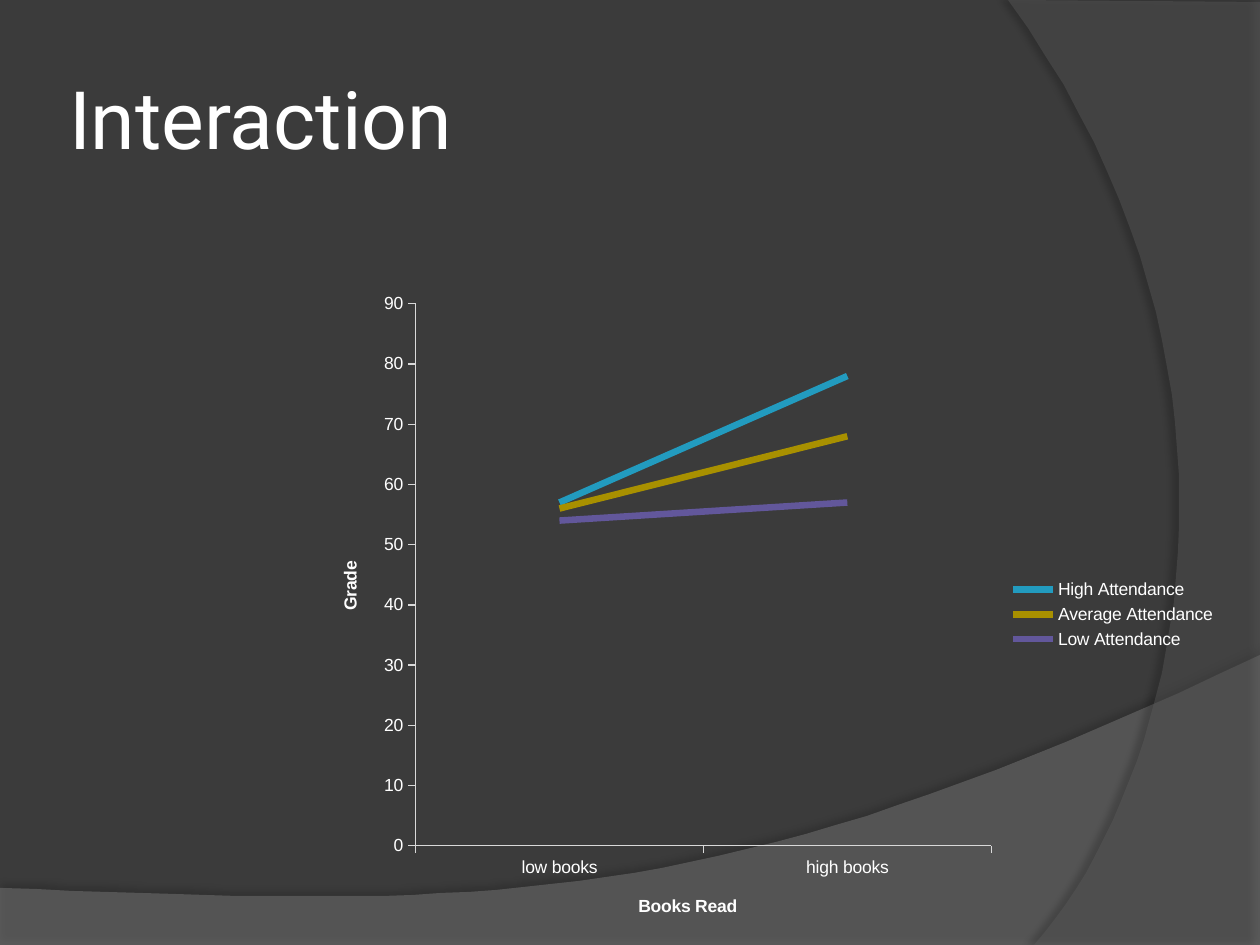
from lxml import etree
from pptx import Presentation
from pptx.chart.data import CategoryChartData
from pptx.dml.color import RGBColor
from pptx.enum.chart import XL_CHART_TYPE, XL_LEGEND_POSITION, XL_MARKER_STYLE, XL_TICK_MARK
from pptx.enum.text import MSO_ANCHOR, PP_ALIGN
from pptx.oxml import parse_xml
from pptx.oxml.ns import nsdecls, qn
from pptx.util import Emu, Pt

EMU_PER_PX = 914400 / 126
WHITE = "FFFFFF"
AXIS_GREY = "D9D9D9"
CURVE_STEPS = 40
ATTENDANCE = [
    ("High Attendance", (57, 78), "229BBF"),
    ("Average Attendance", (56, 68), "A89000"),
    ("Low Attendance", (54, 57), "62579B"),
]


def px(length):
    return Emu(round(length * EMU_PER_PX))


def rgb(value):
    return RGBColor.from_string(value)


def curve(start, control_1, control_2, end):
    """Points along a cubic Bezier curve, after its start."""
    points = []
    for step in range(1, CURVE_STEPS + 1):
        t = step / CURVE_STEPS
        weights = ((1 - t) ** 3, 3 * t * (1 - t) ** 2, 3 * t ** 2 * (1 - t), t ** 3)
        corners = list(zip(start, control_1, control_2, end))
        points.append(tuple(sum(w * c for w, c in zip(weights, axis)) for axis in corners))
    return points


def add_swoosh(slide, outline, colour, opacity, shadow_opacity, shadow_distance, shadow_angle):
    """Translucent background outline with a soft black shadow."""
    builder = slide.shapes.build_freeform(*outline[0], scale=EMU_PER_PX)
    builder.add_line_segments(outline[1:], close=True)
    swoosh = builder.convert_to_shape()
    swoosh.fill.solid()
    swoosh.fill.fore_color.rgb = rgb(colour)
    swoosh.line.fill.background()
    fill_colour = swoosh.element.spPr.find(qn("a:solidFill"))[0]
    etree.SubElement(fill_colour, qn("a:alpha"), val=str(opacity * 1000))
    swoosh.element.spPr.append(parse_xml(
        f'<a:effectLst {nsdecls("a")}><a:outerShdw blurRad="{Pt(4)}" '
        f'dist="{Pt(shadow_distance)}" dir="{shadow_angle * 60000}" rotWithShape="0">'
        f'<a:srgbClr val="000000"><a:alpha val="{shadow_opacity * 1000}"/></a:srgbClr>'
        '</a:outerShdw></a:effectLst>'))


def add_background(slide):
    slide.background.fill.solid()
    slide.background.fill.fore_color.rgb = rgb("3B3B3B")
    bottom = [(0, 888), (0, 945), (1260, 945), (1260, 655)]
    bottom += curve(bottom[-1], (704, 919), (493, 906), (0, 888))
    add_swoosh(slide, bottom, "7F7F7F", 45, 35, 3.5, 270)
    right = [(1260, 2), (1260, 945), (1034, 945)]
    right += curve(right[-1], (1178, 780), (1283, 378), (1008, 0))
    add_swoosh(slide, right, "5E5E5E", 40, 45, 4, 180)


def format_title(title, text):
    title.left, title.top, title.width, title.height = px(63), px(38), px(1029), px(158)
    frame = title.text_frame
    frame.text = text
    frame.word_wrap = True
    frame.vertical_anchor = MSO_ANCHOR.MIDDLE
    frame.margin_left = frame.margin_right = frame.margin_top = frame.margin_bottom = px(6)
    heading = frame.paragraphs[0]
    heading.alignment = PP_ALIGN.LEFT
    heading.font.name, heading.font.size = "Roboto", Pt(46)
    heading.font.color.rgb = rgb(WHITE)
    # Bring the title in front of the background
    title.element.getparent().append(title.element)


def format_axis(axis, title):
    axis.has_major_gridlines = False
    axis.major_tick_mark = XL_TICK_MARK.OUTSIDE
    axis.minor_tick_mark = XL_TICK_MARK.NONE
    axis.format.line.color.rgb = rgb(AXIS_GREY)
    axis.format.line.width = Pt(0.75)
    axis.axis_title.text_frame.text = title
    font = axis.axis_title.text_frame.paragraphs[0].font
    font.name, font.size, font.bold = "Arial", Pt(10), True
    font.color.rgb = rgb(WHITE)


def place_plot(chart, x, y, w, h):
    """Fix the inner plot area, in fractions of the chart."""
    plot_area = chart.plots[0]._element.getparent()
    for old in plot_area.findall(qn("c:layout")):
        plot_area.remove(old)
    sizes = "".join(f'<c:{tag} val="{value}"/>'
                    for tag, value in (("x", x), ("y", y), ("w", w), ("h", h)))
    plot_area.insert(0, parse_xml(
        f'<c:layout {nsdecls("c")}><c:manualLayout><c:layoutTarget val="inner"/>'
        f'<c:xMode val="edge"/><c:yMode val="edge"/>{sizes}</c:manualLayout></c:layout>'))


def add_grade_chart(slide):
    grades = CategoryChartData()
    grades.categories = ["low books", "high books"]
    for name, values, _ in ATTENDANCE:
        grades.add_series(name, values)
    chart = slide.shapes.add_chart(
        XL_CHART_TYPE.LINE, px(315), px(284), px(914), px(661), grades).chart
    chart.has_title = False
    chart.font.name, chart.font.size = "Arial", Pt(10)
    chart.font.color.rgb = rgb(WHITE)
    chart.has_legend = True
    chart.legend.position = XL_LEGEND_POSITION.RIGHT
    chart.legend.include_in_layout = False
    format_axis(chart.category_axis, "Books Read")
    format_axis(chart.value_axis, "Grade")
    chart.value_axis.minimum_scale, chart.value_axis.maximum_scale = 0, 90
    chart.value_axis.major_unit = 10
    chart.plots[0].vary_by_categories = False
    for series, (_, _, colour) in zip(chart.plots[0].series, ATTENDANCE):
        series.smooth = False
        series.marker.style = XL_MARKER_STYLE.NONE
        series.format.line.color.rgb = rgb(colour)
        series.format.line.width = Pt(3.75)
    place_plot(chart, 0.11, 0.03, 0.63, 0.82)


def main():
    presentation = Presentation()
    presentation.slide_width, presentation.slide_height = px(1260), px(945)
    slide = presentation.slides.add_slide(presentation.slide_layouts[5])
    add_background(slide)
    format_title(slide.shapes.title, "Interaction")
    add_grade_chart(slide)
    presentation.save("out.pptx")


if __name__ == "__main__":
    main()
